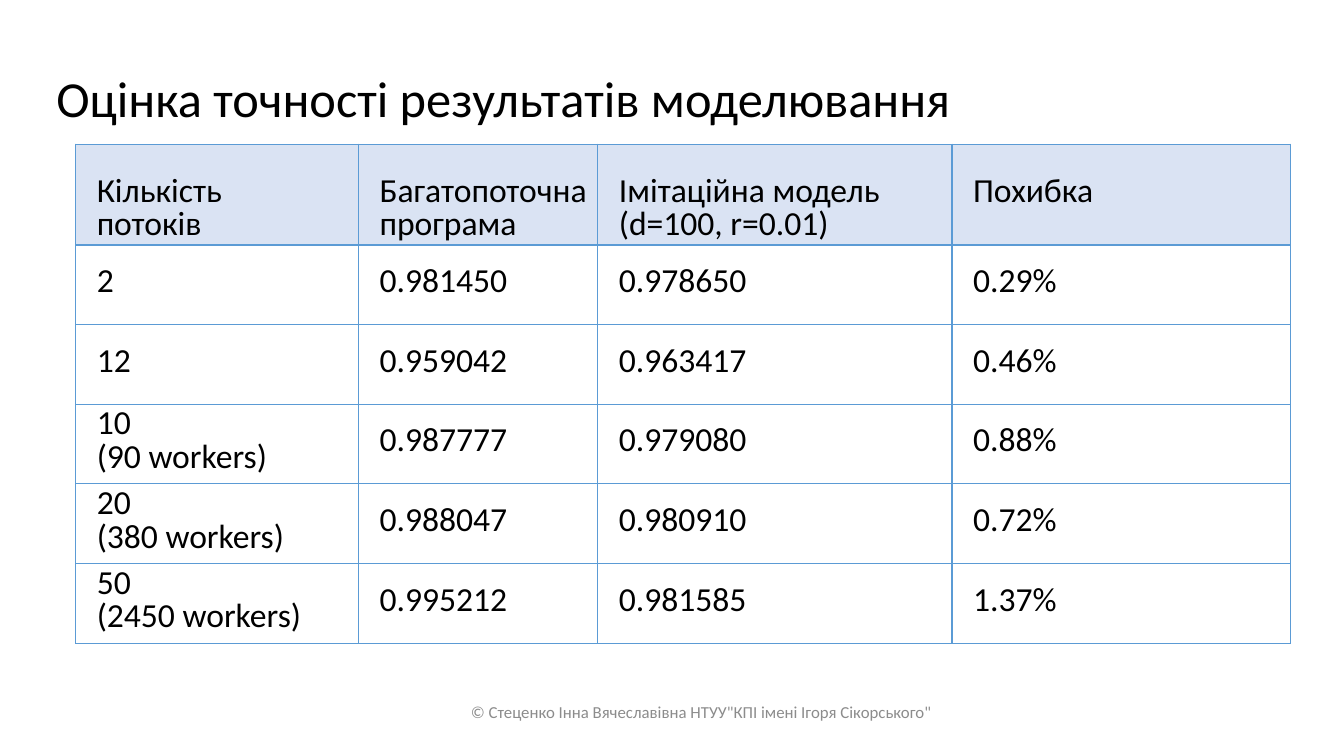
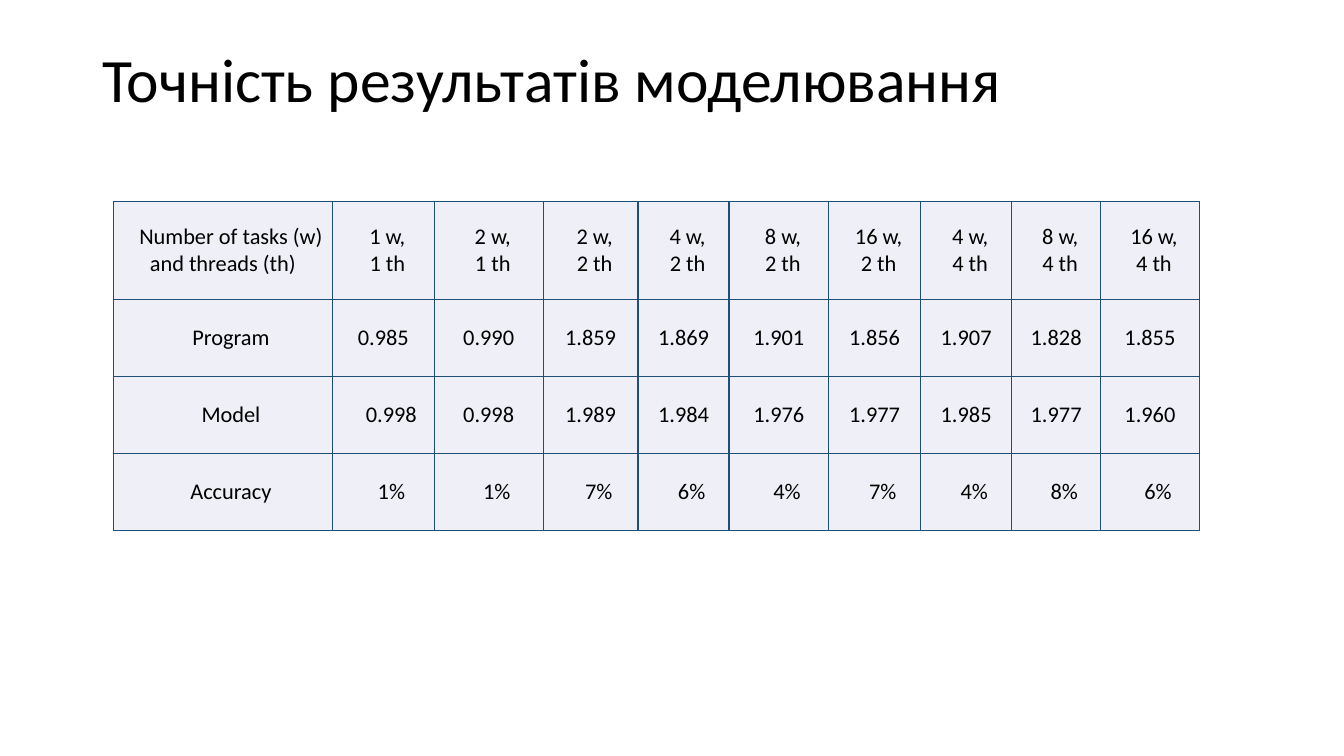
from lxml import etree
from pptx import Presentation
from pptx.dml.color import RGBColor
from pptx.enum.text import MSO_ANCHOR, MSO_AUTO_SIZE, PP_ALIGN
from pptx.oxml.ns import qn
from pptx.util import Pt

LEFT, CENTER = PP_ALIGN.LEFT, PP_ALIGN.CENTER
TOP, MIDDLE = MSO_ANCHOR.TOP, MSO_ANCHOR.MIDDLE
NO_AUTOFIT = MSO_AUTO_SIZE.NONE

FONT = "Calibri"
BLACK = RGBColor(0x00, 0x00, 0x00)
GREY = RGBColor(0x8C, 0x8C, 0x8C)
HEADER_BLUE = RGBColor(0xDA, 0xE3, 0xF3)
PALE_BLUE = RGBColor(0xEF, 0xF0, 0xF7)
LINE_BLUE = RGBColor(0x5B, 0x9B, 0xD5)
LINE_NAVY = RGBColor(0x1F, 0x4E, 0x79)

TITLE_ONLY = 5
CELL_INSET = 3.6
INDENT = 11.5
HALF_INDENT = INDENT / 2

THREAD_ROWS = [
    ("Кількість\nпотоків", "Багатопоточна\nпрограма",
     "Імітаційна модель\n(d=100, r=0.01)", "Похибка"),
    ("2", "0.981450", "0.978650", "0.29%"),
    ("12", "0.959042", "0.963417", "0.46%"),
    ("10\n(90 workers)", "0.987777", "0.979080", "0.88%"),
    ("20\n(380 workers)", "0.988047", "0.980910", "0.72%"),
    ("50\n(2450 workers)", "0.995212", "0.981585", "1.37%"),
]
THREAD_COLS = (202, 171, 253, 242)
THREAD_HEIGHTS = [72] + [56.88] * 5

TASK_THREADS = [(1, 1), (2, 1), (2, 2), (4, 2), (8, 2), (16, 2),
                (4, 4), (8, 4), (16, 4)]
ACCURACY_ROWS = [
    ["Number of tasks (w) and threads (th)"]
    + [f"{w} w,\n{th} th" for w, th in TASK_THREADS],
    ["Program", "0.985", "0.990", "1.859", "1.869", "1.901",
     "1.856", "1.907", "1.828", "1.855"],
    ["Model", "0.998", "0.998", "1.989", "1.984", "1.976",
     "1.977", "1.985", "1.977", "1.960"],
    ["Accuracy", "1%", "1%", "7%", "6%", "4%", "7%", "4%", "8%", "6%"],
]
ACCURACY_COLS = (156.4, 72.8, 77.8, 67.8, 65, 71.2, 65.6, 65.2, 63.4, 70.6)
ACCURACY_HEIGHTS = [70] + [55] * 3
ACCURACY_INDENTS = [
    [INDENT] + [HALF_INDENT] * 9,
    [INDENT] + [0] * 9,
    [INDENT] * 2 + [0] * 8,
    [INDENT] * 10,
]


def write(tf, text, size, color=BLACK, align=LEFT, spacing=None, indent=0):
    """Write each line of text as a paragraph with a first-line indent."""
    for i, line in enumerate(text.split("\n")):
        p = tf.paragraphs[0] if i == 0 else tf.add_paragraph()
        p.alignment = align
        if spacing:
            p.line_spacing = spacing
        if indent:
            pPr = p._p.get_or_add_pPr()
            pPr.set("marL", "0")
            pPr.set("indent", str(Pt(indent)))
        r = p.add_run()
        r.text = line
        r.font.name = FONT
        r.font.size = Pt(size)
        r.font.color.rgb = color


def place(sp, left, top, width, height):
    sp.left, sp.top, sp.width, sp.height = map(Pt, (left, top, width, height))


def add_titled_slide(prs, title, box, size):
    slide = prs.slides.add_slide(prs.slide_layouts[TITLE_ONLY])
    sp = slide.shapes.title
    place(sp, *box)
    tf = sp.text_frame
    tf.word_wrap = True
    tf.auto_size = NO_AUTOFIT
    tf.vertical_anchor = MIDDLE
    write(tf, title, size, spacing=0.9)
    return slide


def add_footer(slide, text):
    sp = slide.shapes.add_textbox(Pt(318), Pt(487), Pt(366), Pt(43))
    tf = sp.text_frame
    tf.word_wrap = True
    tf.vertical_anchor = MIDDLE
    write(tf, text, 12, GREY, CENTER)


def set_borders(cell, color):
    tcPr = cell._tc.get_or_add_tcPr()
    for i, side in enumerate(("lnL", "lnR", "lnT", "lnB")):
        ln = etree.Element(qn(f"a:{side}"), w=str(Pt(1)))
        fill = etree.SubElement(ln, qn("a:solidFill"))
        etree.SubElement(fill, qn("a:srgbClr"), val=str(color))
        tcPr.insert(i, ln)


def add_grid(slide, left, top, cols, heights, line_color):
    """Add an unstyled table with borders and return it."""
    frame = slide.shapes.add_table(len(heights), len(cols), Pt(left), Pt(top),
                                   Pt(sum(cols)), Pt(sum(heights)))
    table = frame.table
    table.first_row = table.horz_banding = False
    for col, width in zip(table.columns, cols):
        col.width = Pt(width)
    for row, height in zip(table.rows, heights):
        row.height = Pt(height)
    for cell in table.iter_cells():
        set_borders(cell, line_color)
    return table


def fill_cell(cell, text, size, fill=None, anchor=MIDDLE, top_inset=0, **style):
    cell.margin_left = cell.margin_right = Pt(CELL_INSET)
    cell.margin_top, cell.margin_bottom = Pt(top_inset), Pt(0)
    cell.vertical_anchor = anchor
    if fill is None:
        cell.fill.background()
    else:
        cell.fill.solid()
        cell.fill.fore_color.rgb = fill
    write(cell.text_frame, text, size, **style)


def add_thread_table(slide):
    table = add_grid(slide, 54, 103, THREAD_COLS, THREAD_HEIGHTS, LINE_BLUE)
    header = dict(fill=HEADER_BLUE, anchor=TOP, top_inset=24)
    for i, row in enumerate(THREAD_ROWS):
        for j, text in enumerate(row):
            fill_cell(table.cell(i, j), text, 24, spacing=Pt(24),
                      indent=INDENT, **(header if i == 0 else {}))


def add_accuracy_table(slide):
    table = add_grid(slide, 81, 144, ACCURACY_COLS, ACCURACY_HEIGHTS, LINE_NAVY)
    for i, (row, indents) in enumerate(zip(ACCURACY_ROWS, ACCURACY_INDENTS)):
        for j, (text, indent) in enumerate(zip(row, indents)):
            fill_cell(table.cell(i, j), text, 16, PALE_BLUE,
                      align=CENTER, indent=indent)


def main():
    prs = Presentation()
    prs.slide_width, prs.slide_height = Pt(960), Pt(540)

    slide = add_titled_slide(prs, "Оцінка точності результатів моделювання",
                             (33, 42, 909, 60), 36)
    add_footer(slide, "© Стеценко Інна Вячеславівна "
                      "НТУУ\"КПІ імені Ігоря Сікорського\"")
    add_thread_table(slide)

    slide = add_titled_slide(prs, "Точність результатів моделювання",
                             (66, 29, 828, 60), 44)
    add_accuracy_table(slide)

    prs.save("out.pptx")


if __name__ == "__main__":
    main()
